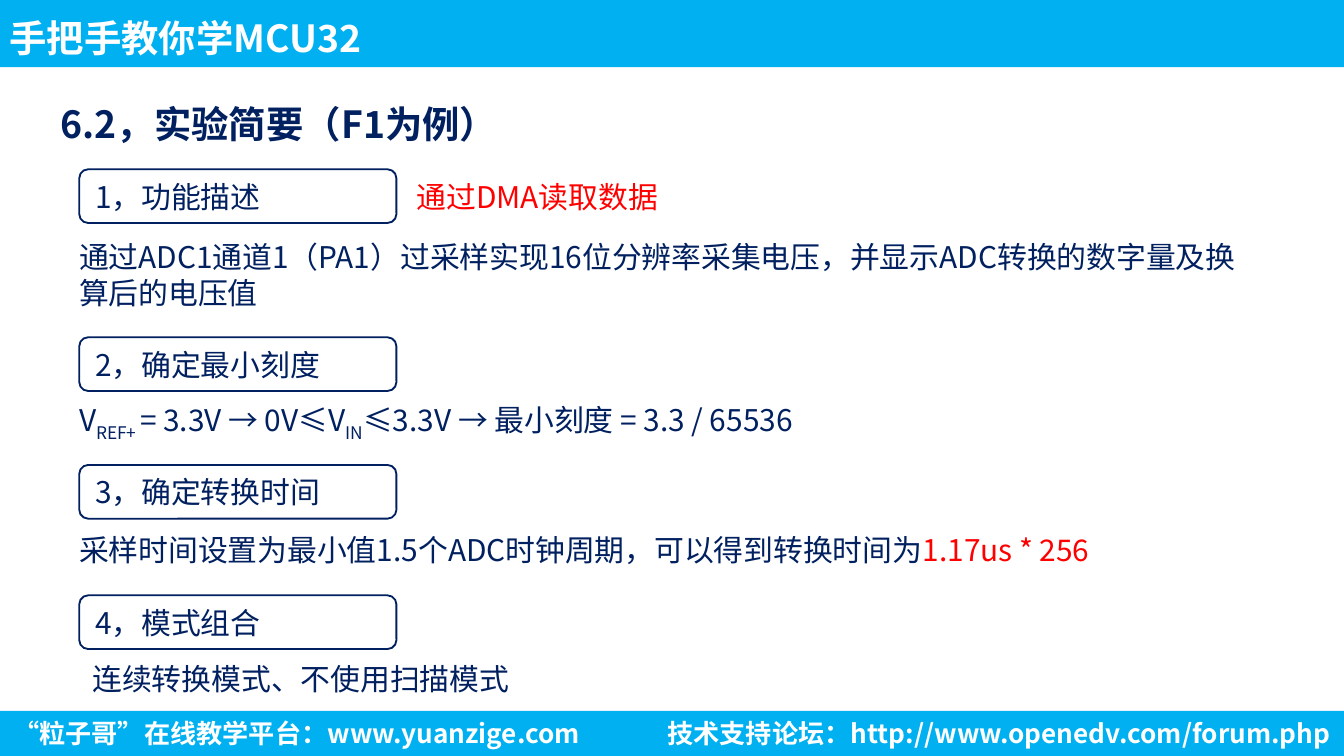
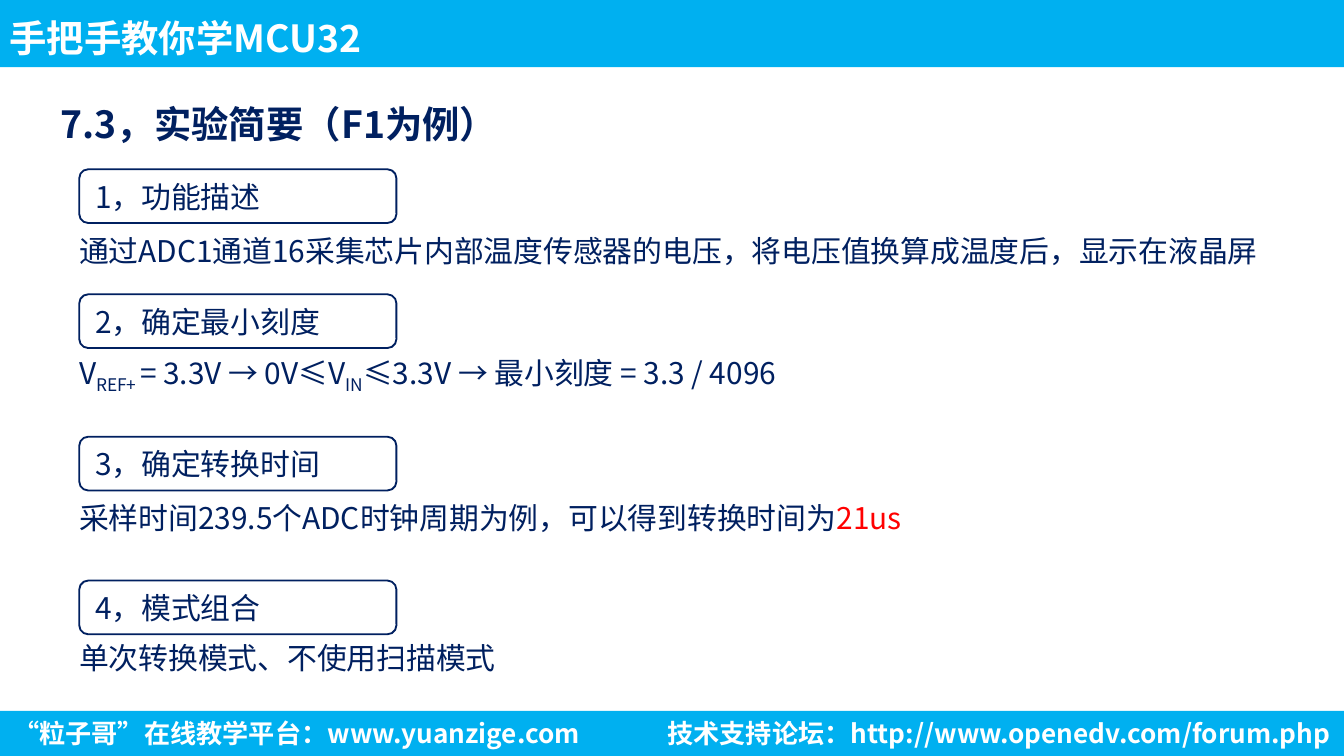
from dataclasses import dataclass

from lxml import etree
from pptx import Presentation
from pptx.dml.color import RGBColor
from pptx.enum.shapes import MSO_SHAPE
from pptx.enum.text import MSO_ANCHOR, MSO_AUTO_SIZE, PP_ALIGN
from pptx.oxml.ns import qn
from pptx.util import Inches, Pt

RECTANGLE = MSO_SHAPE.RECTANGLE
ROUNDED = MSO_SHAPE.ROUNDED_RECTANGLE
TOP, MIDDLE = MSO_ANCHOR.TOP, MSO_ANCHOR.MIDDLE
LEFT, RIGHT = PP_ALIGN.LEFT, PP_ALIGN.RIGHT
GROW, FIXED = MSO_AUTO_SIZE.SHAPE_TO_FIT_TEXT, MSO_AUTO_SIZE.NONE

SKY = RGBColor(0x00, 0xB0, 0xF0)
NAVY = RGBColor(0x00, 0x20, 0x60)
RED = RGBColor(0xFF, 0x00, 0x00)
WHITE = RGBColor(0xFF, 0xFF, 0xFF)
FONT = "Noto Sans CJK SC"

SLIDE_WIDTH = 10
HEADER_BOX = (0, 0, SLIDE_WIDTH, 0.5)
FOOTER_BOX = (0, 5.29, SLIDE_WIDTH, 0.34)
TITLE_BOX = (0.4, 0.57, 5.24, 0.5)
SECTION_LEFT = 0.59
HEADING_SIZE = (2.36, 0.4)
BODY_INDENT = -0.1
HEADINGS = ("1，功能描述", "2，确定最小刻度", "3，确定转换时间", "4，模式组合")


@dataclass
class Segment:
    text: str
    color: RGBColor = NAVY
    subscript: bool = False


@dataclass
class Section:
    top: float
    body_offset: float
    body_width: float
    body: list
    body_indent: float = BODY_INDENT
    body_height: float = 0.37
    remark: str = ""


def inches(box):
    return [Inches(value) for value in box]


def write(shape, segments, size=16, bold=False, align=LEFT, spacing=None,
          anchor=TOP, insets=(0.1, 0.05), auto_size=FIXED):
    frame = shape.text_frame
    frame.word_wrap = True
    frame.auto_size = auto_size
    frame.vertical_anchor = anchor
    frame.margin_left = frame.margin_right = Inches(insets[0])
    frame.margin_top = frame.margin_bottom = Inches(insets[1])
    paragraph = frame.paragraphs[0]
    paragraph.alignment = align
    paragraph.line_spacing = spacing
    for segment in segments:
        run = paragraph.add_run()
        run.text = segment.text
        run.font.size = Pt(size)
        run.font.bold = bold
        run.font.color.rgb = segment.color
        run.font.name = FONT
        properties = run._r.get_or_add_rPr()
        etree.SubElement(properties, qn("a:ea")).set("typeface", FONT)
        if segment.subscript:
            properties.set("baseline", "-25000")


def add_text(slide, box, segments, auto_size=GROW, **style):
    shape = slide.shapes.add_textbox(*inches(box))
    write(shape, segments, auto_size=auto_size, **style)


def add_panel(slide, preset, box, fill, line=None):
    shape = slide.shapes.add_shape(preset, *inches(box))
    shape.shadow.inherit = False
    shape.fill.solid()
    shape.fill.fore_color.rgb = fill
    if line is None:
        shape.line.fill.background()
    else:
        shape.line.color.rgb = line
        shape.line.width = Pt(1)
    return shape


def add_header(slide, box):
    left, top, width, height = box
    add_panel(slide, RECTANGLE, box, SKY)
    add_text(slide, (left, top, 6.45, height), [Segment("手把手教你学MCU32", WHITE)],
             size=20, bold=True, spacing=1.2, anchor=MIDDLE,
             insets=(0.07, 0.04), auto_size=FIXED)


def add_footer(slide, box):
    left, top, width, height = box
    add_panel(slide, RECTANGLE, box, SKY)
    platform = Segment("“粒子哥”在线教学平台：www.yuanzige.com", WHITE)
    forum = Segment("技术支持论坛：http://www.openedv.com/forum.php", WHITE)
    add_text(slide, (left, top, 5.88, height), [platform], size=14, bold=True)
    forum_width = 6.37
    add_text(slide, (left + width - forum_width, top, forum_width, height), [forum],
             size=14, bold=True, align=RIGHT)


def add_section(slide, left, heading, section):
    width, height = HEADING_SIZE
    label = add_panel(slide, ROUNDED, (left, section.top, width, height), WHITE, NAVY)
    write(label, [Segment(heading)], anchor=MIDDLE)
    add_text(slide, (left + section.body_indent, section.top + section.body_offset,
                     section.body_width, section.body_height), section.body)
    if section.remark:
        add_text(slide, (left + width + 0.05, section.top + 0.02, 4.01, 0.37),
                 [Segment(section.remark, RED)])


def add_summary_slide(presentation, title, sections):
    slide = presentation.slides.add_slide(presentation.slide_layouts[6])
    add_header(slide, HEADER_BOX)
    add_footer(slide, FOOTER_BOX)
    add_text(slide, TITLE_BOX, [Segment(title)], size=20, bold=True,
             spacing=1.5, insets=(0.05, 0.02))
    for heading, section in zip(HEADINGS, sections):
        add_section(slide, SECTION_LEFT, heading, section)


def scale_formula(steps):
    return [
        Segment("V"),
        Segment("REF+ ", subscript=True),
        Segment("= 3.3V → 0V≤V"),
        Segment("IN", subscript=True),
        Segment(f"≤3.3V → 最小刻度 = 3.3 / {steps}"),
    ]


OVERSAMPLING = [
    Section(1.26, 0.47, 8.94,
            [Segment("通过ADC1通道1（PA1）过采样实现16位分辨率采集电压，"
                     "并显示ADC转换的数字量及换算后的电压值")],
            body_height=0.64, remark="通过DMA读取数据"),
    Section(2.51, 0.43, 7.44, scale_formula(65536)),
    Section(3.46, 0.45, 8.27,
            [Segment("采样时间设置为最小值1.5个ADC时钟周期，可以得到转换时间为"),
             Segment("1.17us * 256", RED)]),
    Section(4.43, 0.44, 7.44, [Segment("连续转换模式、不使用扫描模式")], body_indent=0),
]

TEMPERATURE = [
    Section(1.26, 0.42, 9.51,
            [Segment("通过ADC1通道16采集芯片内部温度传感器的电压，"
                     "将电压值换算成温度后，显示在液晶屏")]),
    Section(2.19, 0.4, 7.44, scale_formula(4096)),
    Section(3.25, 0.42, 7.44,
            [Segment("采样时间239.5个ADC时钟周期为例，可以得到转换时间为"),
             Segment("21us", RED)]),
    Section(4.32, 0.39, 7.44, [Segment("单次转换模式、不使用扫描模式")]),
]


def main():
    presentation = Presentation()
    presentation.slide_width = Inches(SLIDE_WIDTH)
    presentation.slide_height = Inches(SLIDE_WIDTH) * 9 // 16
    add_summary_slide(presentation, "6.2，实验简要（F1为例）", OVERSAMPLING)
    add_summary_slide(presentation, "7.3，实验简要（F1为例）", TEMPERATURE)
    presentation.save("out.pptx")


if __name__ == "__main__":
    main()
